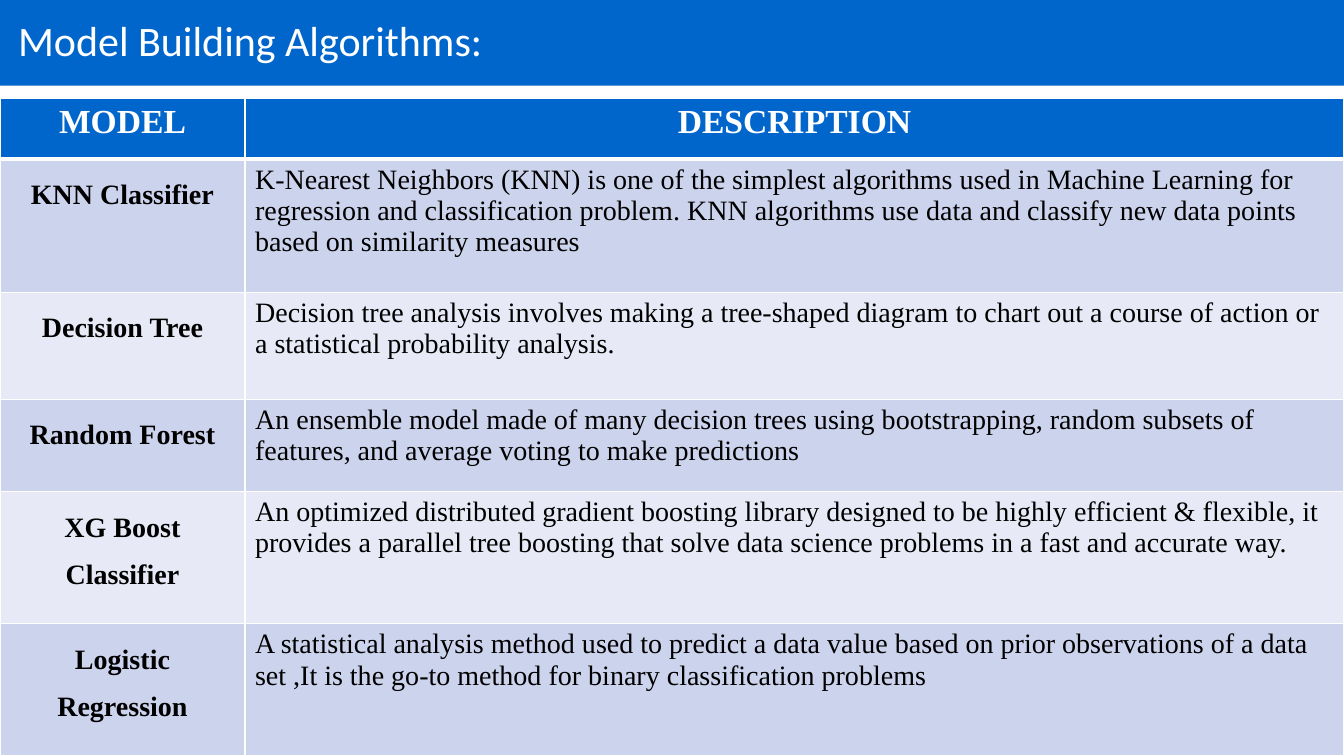
from lxml import etree
from pptx import Presentation
from pptx.dml.color import RGBColor
from pptx.enum.shapes import MSO_SHAPE
from pptx.enum.text import MSO_ANCHOR, PP_ALIGN
from pptx.oxml.ns import qn
from pptx.util import Inches, Pt

BLUE, WHITE, BLACK = "0066CC", "FFFFFF", "000000"
BANDS = ("CCD3EC", "E7EAF6")
COLUMN_WIDTHS = (2.43, 10.9)
ROW_HEIGHTS = (0.6, 1.32, 1.06, 0.92, 1.31, 1.31)
MODELS = [
    ("MODEL", "DESCRIPTION"),
    ("KNN Classifier",
     "K-Nearest Neighbors (KNN) is one of the simplest algorithms used in Machine Learning for "
     "regression and classification problem. KNN algorithms use data and classify new data points "
     "based on similarity measures"),
    ("Decision Tree",
     "Decision tree analysis involves making a tree-shaped diagram to chart out a course of action "
     "or a statistical probability analysis."),
    ("Random Forest",
     "An ensemble model made of many decision trees using bootstrapping, random subsets of "
     "features, and average voting to make predictions"),
    ("XG Boost Classifier",
     "An optimized distributed gradient boosting library designed to be highly efficient & "
     "flexible, it provides a parallel tree boosting that solve data science problems in a fast "
     "and accurate way."),
    ("Logistic Regression",
     "A statistical analysis method used to predict a data value based on prior observations of a "
     "data set ,It is the go-to method for binary classification problems"),
]


def color(value):
    return RGBColor.from_string(value)


def fill_solid(target, value):
    target.fill.solid()
    target.fill.fore_color.rgb = color(value)


def format_font(font, name, size, value, bold=False):
    font.name, font.size, font.bold = name, Pt(size), bold
    font.color.rgb = color(value)


def add_borders(cell, widths):
    """Draw white cell edges; widths maps each edge letter to points."""
    properties = cell._tc.get_or_add_tcPr()
    for position, edge in enumerate("LRTB"):
        line = etree.Element(qn(f"a:ln{edge}"), w=str(Pt(widths[edge])))
        fill = etree.SubElement(line, qn("a:solidFill"))
        etree.SubElement(fill, qn("a:srgbClr"), val=WHITE)
        properties.insert(position, line)


def add_title_bar(slide, left, top, width, height):
    bar = slide.shapes.add_shape(MSO_SHAPE.RECTANGLE, Inches(left), Inches(top),
                                 Inches(width), Inches(height))
    bar.shadow.inherit = False
    fill_solid(bar, BLUE)
    bar.line.fill.background()
    frame = bar.text_frame
    frame.text = "Model Building Algorithms:"
    frame.margin_left = Inches(0.18)
    frame.vertical_anchor = MSO_ANCHOR.MIDDLE
    paragraph = frame.paragraphs[0]
    paragraph.alignment = PP_ALIGN.LEFT
    paragraph.line_spacing = 0.9
    format_font(paragraph.runs[0].font, "Calibri", 30, WHITE)


def fill_cell(cell, text, row, column):
    is_header, is_model = row == 0, column == 0
    fill_solid(cell, BLUE if is_header else BANDS[(row - 1) % 2])
    add_borders(cell, {"L": 1, "R": 1, "T": 3 if row == 1 else 1, "B": 3 if is_header else 1})
    cell.text_frame.text = text
    paragraph = cell.text_frame.paragraphs[0]
    paragraph.alignment = PP_ALIGN.CENTER if is_header or is_model else PP_ALIGN.LEFT
    if is_model and not is_header:
        paragraph.line_spacing = 1.5
    format_font(paragraph.runs[0].font, "Times New Roman", 24 if is_header else 20,
                WHITE if is_header else BLACK, is_header or is_model)


def add_model_table(slide, left, top):
    table = slide.shapes.add_table(len(MODELS), len(COLUMN_WIDTHS), Inches(left), Inches(top),
                                   Inches(sum(COLUMN_WIDTHS)), Inches(sum(ROW_HEIGHTS))).table
    for column, width in zip(table.columns, COLUMN_WIDTHS):
        column.width = Inches(width)
    for table_row, height in zip(table.rows, ROW_HEIGHTS):
        table_row.height = Inches(height)
    for row, texts in enumerate(MODELS):
        for column, text in enumerate(texts):
            fill_cell(table.cell(row, column), text, row, column)


def main():
    presentation = Presentation()
    presentation.slide_width, presentation.slide_height = Inches(13.33), Inches(7.5)
    slide = presentation.slides.add_slide(presentation.slide_layouts[6])
    add_model_table(slide, 0, 0.98)
    add_title_bar(slide, 0, 0, 13.33, 0.85)
    presentation.save("out.pptx")


if __name__ == "__main__":
    main()
